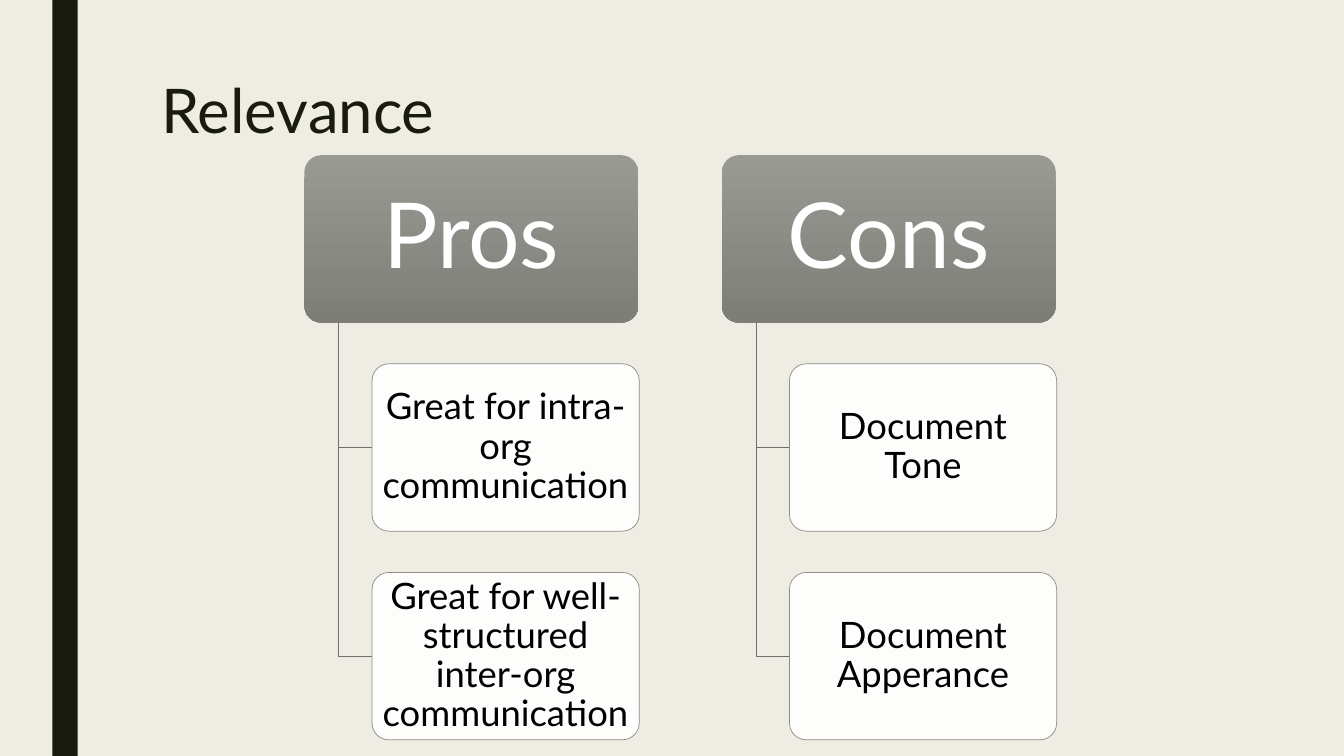
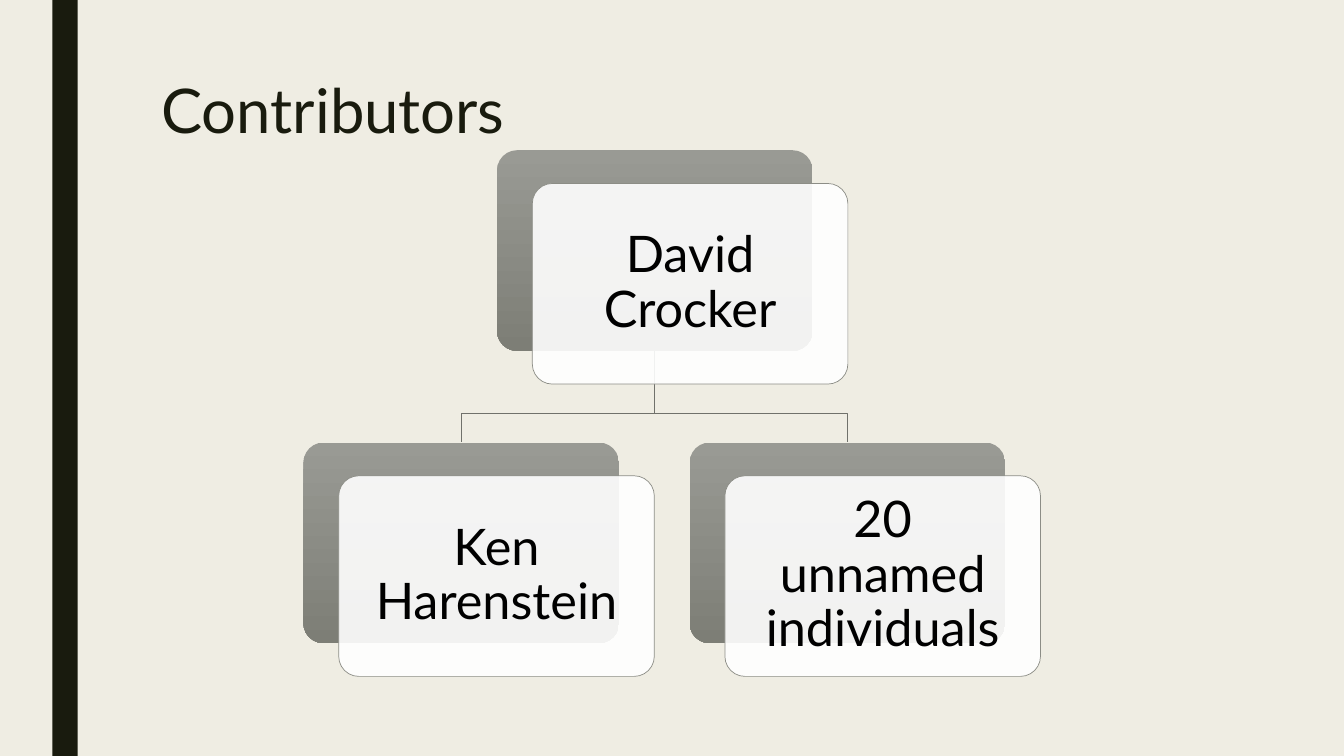
from lxml import etree
from pptx import Presentation
from pptx.dml.color import RGBColor
from pptx.enum.shapes import MSO_SHAPE
from pptx.enum.text import MSO_ANCHOR, MSO_AUTO_SIZE, PP_ALIGN
from pptx.oxml.ns import qn
from pptx.util import Inches, Pt

RECTANGLE, ROUNDED = MSO_SHAPE.RECTANGLE, MSO_SHAPE.ROUNDED_RECTANGLE
TOP, MIDDLE = MSO_ANCHOR.TOP, MSO_ANCHOR.MIDDLE
LEFT, CENTER = PP_ALIGN.LEFT, PP_ALIGN.CENTER
NO_AUTOFIT = MSO_AUTO_SIZE.NONE

FONT = "Lato"
COLORS = {
    "background": "EFEDE3",
    "dark": "191B0E",
    "gradient_top": "999A94",
    "gradient_bottom": "7D7E76",
    "card": "FFFFFF",
    "card_border": "8C8D86",
    "branch": "70716B",
    "header_text": "FFFFFF",
    "card_text": "000000",
}


def color(name):
    return RGBColor.from_string(COLORS[name])


def write(text_frame, text, *, size, color_name, align=CENTER, spacing=0.9):
    paragraph = text_frame.paragraphs[0]
    paragraph.alignment = align
    paragraph.line_spacing = spacing
    run = paragraph.add_run()
    run.text = text
    run.font.name = FONT
    run.font.size = Pt(size)
    run.font.color.rgb = color(color_name)


presentation = Presentation()
presentation.slide_width = Inches(13.33)
presentation.slide_height = Inches(7.5)
master = presentation.slide_master
title_layout = presentation.slide_layouts.get_by_name("Title Only")

# Shared background and title position
master.background.fill.solid()
master.background.fill.fore_color.rgb = color("background")
layout_title = title_layout.placeholders[0]
layout_title.left, layout_title.top = Inches(1.5), Inches(0.75)
layout_title.width, layout_title.height = Inches(10.5), Inches(1.62)
layout_title.text_frame.vertical_anchor = TOP
layout_title.text_frame.auto_size = NO_AUTOFIT

# Relevance: two columns, each a header with two cards hanging from it
columns = [
    ("Pros", ["Great for intra-org communication",
              "Great for well-structured inter-org communication"]),
    ("Cons", ["Document Tone", "Document Apperance"]),
]
header_width, row_height = 3.31, 1.66
header_top, row_step = 1.54, 2.07
card_indent, branch_indent = 0.67, 0.34
relevance_boxes, relevance_branches = [], []
for column, (header, cards) in enumerate(columns):
    left = 3.02 + column * 4.14
    relevance_boxes.append(
        ("header", left, header_top, header_width, row_height, header, 65, (0.14, 0.09)))
    for row, card in enumerate(cards, start=1):
        top = header_top + row * row_step
        middle = top + row_height / 2
        relevance_boxes.append(
            ("card", left + card_indent, top, 2.65, row_height, card, 26, (0.05, 0.04)))
        relevance_branches.append([
            (left + branch_indent, header_top + row_height),
            (left + branch_indent, middle),
            (left + card_indent, middle),
        ])

# Contributors: one person above two others, each card set off from its backing
people = [
    ("David Crocker", 4.93, 1.49),
    ("Ken Harenstein", 3.01, 4.39),
    ("20 unnamed individuals", 6.84, 4.39),
]
person_width, person_height = 3.13, 1.99
offset_x, offset_y = 0.35, 0.33
contributor_boxes, contributor_branches = [], []
for name, left, top in people:
    size = (person_width, person_height)
    contributor_boxes.append(("header", left, top, *size, "", 0, (0, 0)))
    contributor_boxes.append(
        ("card", left + offset_x, top + offset_y, *size, name, 36, (0.15, 0.15)))

lead_center = people[0][1] + person_width / 2
for name, left, top in people[1:]:
    center = left + person_width / 2
    contributor_branches.append([
        (lead_center, people[0][2] + person_height),
        (lead_center, 4.1),
        (center, 4.1),
        (center, top),
    ])

# Draw both slides
for title, branches, boxes in [
    ("Relevance", relevance_branches, relevance_boxes),
    ("Contributors", contributor_branches, contributor_boxes),
]:
    slide = presentation.slides.add_slide(title_layout)
    write(slide.shapes.title.text_frame, title, size=44, color_name="dark",
          align=LEFT, spacing=0.89)

    for points in branches:
        start, *rest = [(Inches(x), Inches(y)) for x, y in points]
        builder = slide.shapes.build_freeform(*start)
        builder.add_line_segments(rest, close=False)
        branch = builder.convert_to_shape()
        branch.shadow.inherit = False
        branch.fill.background()
        branch.line.color.rgb = color("branch")
        branch.line.width = Pt(0.5)

    for kind, left, top, width, height, text, size, insets in boxes:
        shape = slide.shapes.add_shape(
            ROUNDED, Inches(left), Inches(top), Inches(width), Inches(height))
        shape.adjustments[0] = 0.1
        shape.shadow.inherit = False
        if kind == "header":
            shape.fill.gradient()
            shape.fill.gradient_angle = 270
            for stop, name in zip(shape.fill.gradient_stops,
                                  ("gradient_top", "gradient_bottom")):
                stop.color.rgb = color(name)
            first_stop, last_stop = shape.fill.gradient_stops
            first_stop.position, last_stop.position = 0, 1
            shape.line.fill.background()
        else:
            shape.fill.solid()
            shape.fill.fore_color.rgb = color("card")
            # 90 % opacity lets the backing show through
            fill_color = shape.element.find(".//" + qn("a:srgbClr"))
            etree.SubElement(fill_color, qn("a:alpha")).set("val", "90000")
            shape.line.color.rgb = color("card_border")
            shape.line.width = Pt(0.5)
        if text:
            text_frame = shape.text_frame
            text_frame.word_wrap = True
            text_frame.vertical_anchor = MIDDLE
            text_frame.margin_left = text_frame.margin_right = Inches(insets[0])
            text_frame.margin_top = text_frame.margin_bottom = Inches(insets[1])
            write(text_frame, text, size=size, color_name=kind + "_text")

# Dark side band, moved to the master so that every slide shows it
band = presentation.slides[0].shapes.add_shape(
    RECTANGLE, Inches(0.52), 0, Inches(0.25), presentation.slide_height)
band.shadow.inherit = False
band.fill.solid()
band.fill.fore_color.rgb = color("dark")
band.line.fill.background()
master.shapes.element.insert(2, band.element)

presentation.save("out.pptx")
